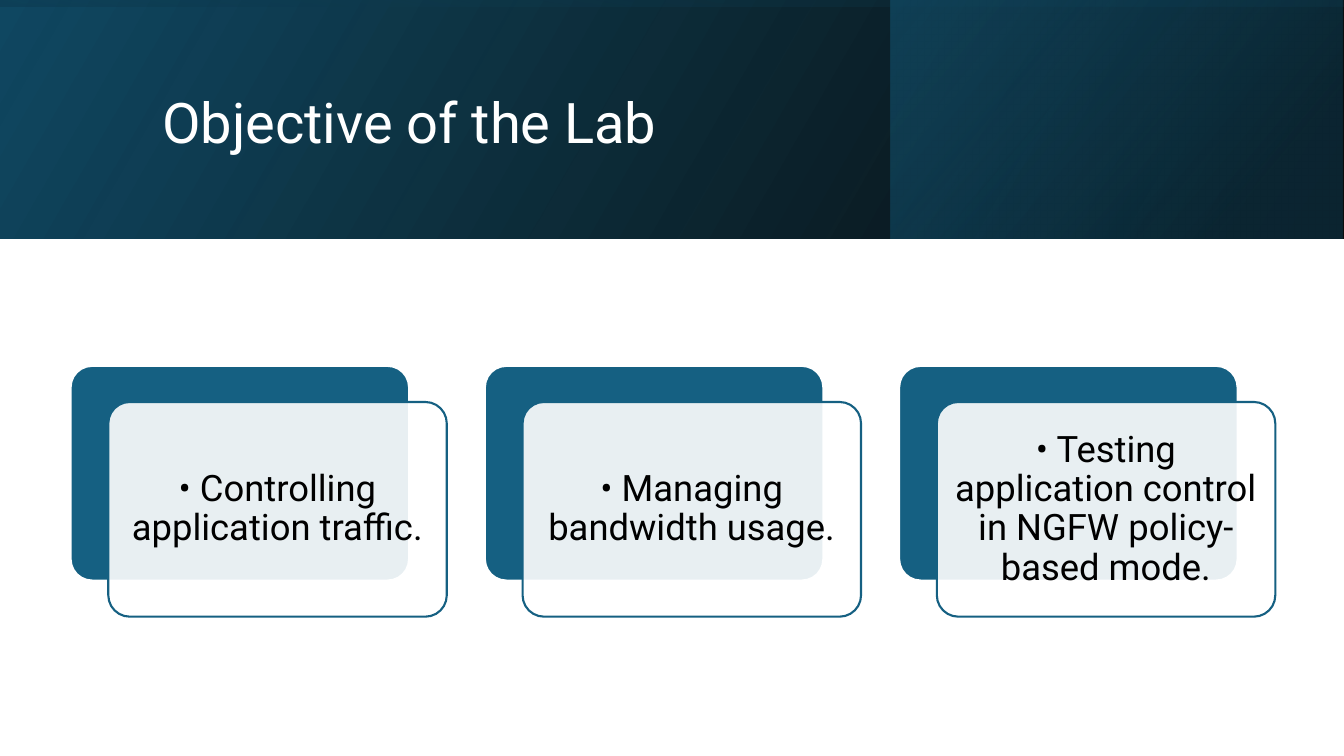
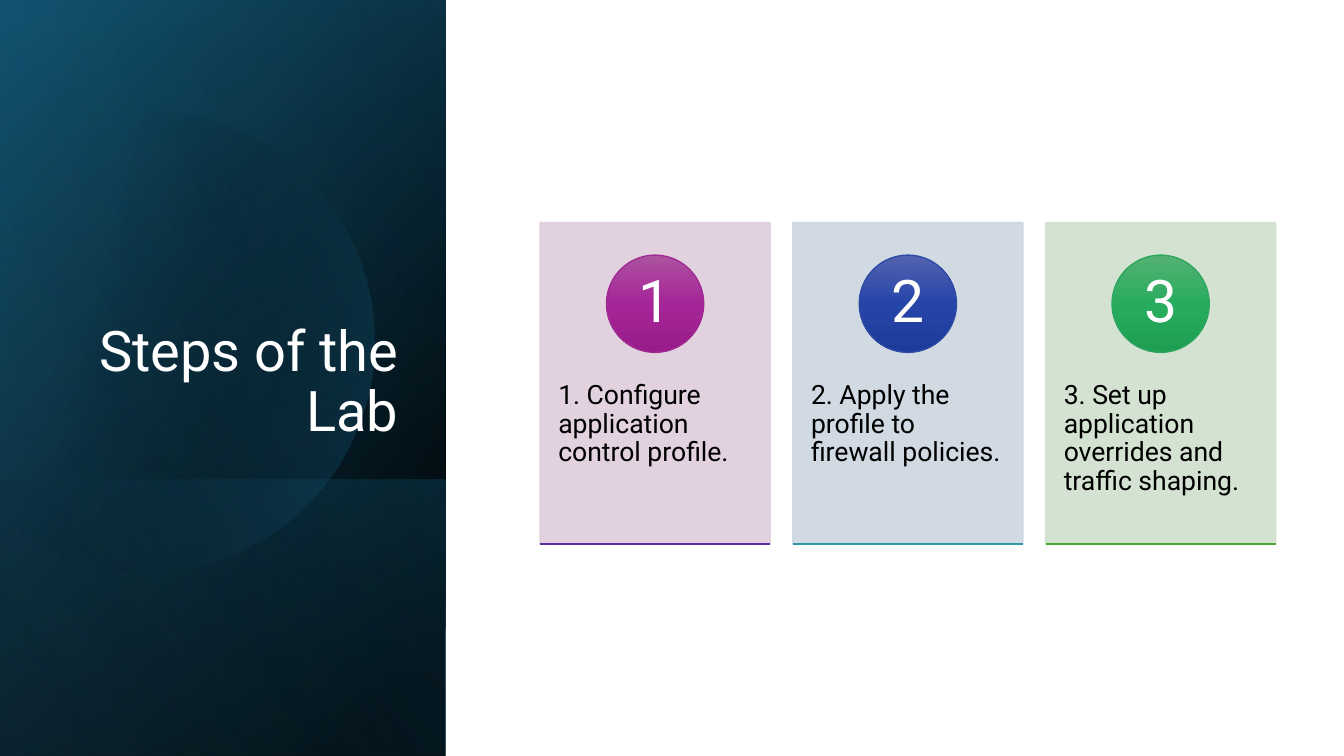
"""Build two lab slides: the objective and the steps."""
from math import acos, cos, sin

from lxml.etree import SubElement
from pptx import Presentation
from pptx.dml.color import RGBColor
from pptx.enum.shapes import MSO_CONNECTOR, MSO_SHAPE
from pptx.enum.text import MSO_ANCHOR, PP_ALIGN
from pptx.oxml.ns import qn
from pptx.util import Cm, Pt

WHITE = RGBColor(0xFF, 0xFF, 0xFF)
BLACK = RGBColor(0x00, 0x00, 0x00)
BLUE = RGBColor(0x15, 0x60, 0x82)
DEEP_BLUE = RGBColor(0x10, 0x48, 0x62)
NAVY = RGBColor(0x0B, 0x30, 0x41)
SKY = RGBColor(0x46, 0xB1, 0xE1)

PINK_TINT = RGBColor(0xDF, 0xCD, 0xDC)
MAGENTA_LIGHT = RGBColor(0xAC, 0x53, 0xA0)
MAGENTA = RGBColor(0xA6, 0x25, 0x98)
MAGENTA_DARK = RGBColor(0x99, 0x1C, 0x8B)
MAGENTA_EDGE = RGBColor(0xA0, 0x2B, 0x93)
PURPLE = RGBColor(0x5F, 0x2C, 0xA1)

BLUE_TINT = RGBColor(0xCD, 0xD6, 0xE0)
ROYAL_LIGHT = RGBColor(0x53, 0x63, 0xAF)
ROYAL = RGBColor(0x26, 0x45, 0xA9)
ROYAL_DARK = RGBColor(0x1D, 0x3B, 0x9B)
ROYAL_EDGE = RGBColor(0x2C, 0x49, 0xA3)
TEAL = RGBColor(0x2D, 0x9A, 0xA4)

GREEN_TINT = RGBColor(0xD0, 0xE1, 0xCD)
EMERALD_LIGHT = RGBColor(0x54, 0xB1, 0x73)
EMERALD = RGBColor(0x27, 0xAC, 0x5E)
EMERALD_DARK = RGBColor(0x1E, 0x9E, 0x52)
EMERALD_EDGE = RGBColor(0x2D, 0xA6, 0x5F)
GREEN = RGBColor(0x4E, 0xA7, 0x2E)

FONT = "Roboto"
WIDTH, HEIGHT = 33.87, 19.05
HEADER_HEIGHT = 6.02
SIDE_WIDTH = 11.23

OBJECTIVES = [
    "• Controlling application traffic.",
    "• Managing bandwidth usage.",
    "• Testing application control in NGFW policy-based mode.",
]
STEPS = [
    ("1. Configure application control profile.", PINK_TINT,
     (MAGENTA_LIGHT, MAGENTA, MAGENTA_DARK), MAGENTA_EDGE, PURPLE),
    ("2. Apply the profile to firewall policies.", BLUE_TINT,
     (ROYAL_LIGHT, ROYAL, ROYAL_DARK), ROYAL_EDGE, TEAL),
    ("3. Set up application overrides and traffic shaping.", GREEN_TINT,
     (EMERALD_LIGHT, EMERALD, EMERALD_DARK), EMERALD_EDGE, GREEN),
]


def write(box, text, size, color=BLACK, align=PP_ALIGN.LEFT,
          anchor=MSO_ANCHOR.MIDDLE, insets=(0.25, 0.13, 0.25, 0.13)):
    frame = box.text_frame
    frame.word_wrap = True
    frame.vertical_anchor = anchor
    frame.margin_left, frame.margin_top, frame.margin_right, frame.margin_bottom = map(Cm, insets)
    para = frame.paragraphs[0]
    para.alignment = align
    para.line_spacing = 0.9
    span = para.add_run()
    span.text = text
    span.font.name = FONT
    span.font.size = Pt(size)
    span.font.color.rgb = color


def set_alpha(color_element, percent):
    SubElement(color_element, qn("a:alpha")).set("val", str(percent * 1000))


def paint_solid(shape, color, opacity=100):
    shape.fill.solid()
    shape.fill.fore_color.rgb = color
    if opacity < 100:
        set_alpha(shape._element.spPr.find(qn("a:solidFill"))[0], opacity)


def paint_gradient(shape, stops, angle):
    shape.fill.gradient()
    shape.fill.gradient_angle = 360 - angle
    stop_list = shape._element.spPr.find(qn("a:gradFill")).find(qn("a:gsLst"))
    for old_stop in list(stop_list):
        stop_list.remove(old_stop)
    for position, color, opacity in stops:
        stop = SubElement(stop_list, qn("a:gs"))
        stop.set("pos", str(position * 1000))
        color_element = SubElement(stop, qn("a:srgbClr"))
        color_element.set("val", str(color))
        set_alpha(color_element, opacity)


def outline(shape, color=None, width=1):
    shape.shadow.inherit = False
    if color is None:
        shape.line.fill.background()
    else:
        shape.line.color.rgb = color
        shape.line.width = Pt(width)


class SlideBuilder:
    def __init__(self):
        self.deck = Presentation()
        self.deck.slide_width, self.deck.slide_height = Cm(WIDTH), Cm(HEIGHT)
        self.page = None

    def start_page(self):
        self.page = self.deck.slides.add_slide(self.deck.slide_layouts[6])

    def shape(self, kind, left, top, width, height):
        return self.page.shapes.add_shape(kind, Cm(left), Cm(top), Cm(width), Cm(height))

    def band(self, left, top, width, height, stops, angle, turn=0):
        if turn:
            left, top = left + (width - height) / 2, top + (height - width) / 2
            width, height = height, width
        band = self.shape(MSO_SHAPE.RECTANGLE, left, top, width, height)
        band.rotation = turn
        band._element.spPr.find(qn("a:xfrm")).set("flipH", "1")
        paint_gradient(band, stops, angle)
        outline(band)

    def cut_disc(self, center_x, center_y, radius, stops, angle):
        limit = acos(-center_x / radius)
        turns = [limit * (step / 40 - 1) for step in range(81)]
        points = [(Cm(center_x + radius * cos(turn)), Cm(center_y + radius * sin(turn)))
                  for turn in turns]
        builder = self.page.shapes.build_freeform(*points[0])
        builder.add_line_segments(points[1:], close=True)
        disc = builder.convert_to_shape()
        paint_gradient(disc, stops, angle)
        outline(disc)

    def title(self, text, left, top, width, height, **style):
        box = self.page.shapes.add_textbox(Cm(left), Cm(top), Cm(width), Cm(height))
        write(box, text, 40, color=WHITE, **style)

    def rounded_card(self, left, top, fill, edge, opacity=100):
        card = self.shape(MSO_SHAPE.ROUNDED_RECTANGLE, left, top, 8.53, 5.41)
        card.adjustments[0] = 0.1
        paint_solid(card, fill, opacity)
        outline(card, edge, 1.5)
        return card

    def objective(self, text, left, top):
        self.rounded_card(left, top, BLUE, WHITE)
        front = self.rounded_card(left + 0.95, top + 0.91, WHITE, BLUE, opacity=90)
        write(front, text, 26, align=PP_ALIGN.CENTER, insets=(0.28,) * 4)

    def step(self, number, text, left, top, tint, shades, edge, rule_color):
        width, height, diameter = 5.8, 8.1, 2.45
        card = self.shape(MSO_SHAPE.RECTANGLE, left, top, width, height)
        paint_solid(card, tint, 90)
        outline(card, tint)
        set_alpha(card._element.spPr.find(qn("a:ln")).find(qn("a:solidFill"))[0], 90)
        write(card, text, 19, anchor=MSO_ANCHOR.TOP, insets=(0.46, 4, 0.46, 0.9))

        badge = self.shape(MSO_SHAPE.OVAL, left + (width - diameter) / 2, top + 0.82,
                           diameter, diameter)
        paint_gradient(badge, [(place, shade, 100) for place, shade in zip((0, 50, 100), shades)], 90)
        outline(badge, edge)
        write(badge, str(number), 42, color=WHITE, align=PP_ALIGN.CENTER,
              insets=(0.18, 0.03, 0.18, 0.03))
        self.rule(left, top + height, width, rule_color)

    def rule(self, left, top, width, color):
        rule = self.page.shapes.add_connector(
            MSO_CONNECTOR.STRAIGHT, Cm(left), Cm(top), Cm(left + width), Cm(top))
        rule.line.color.rgb = color
        rule.line.width = Pt(1)
        SubElement(rule._element.spPr, qn("a:effectLst"))


def add_objectives(slides):
    slides.start_page()
    slides.band(0, 0, WIDTH, HEADER_HEIGHT, [(0, BLACK, 96), (100, DEEP_BLUE, 100)], 330)
    slides.band(22.45, 0, 11.38, HEADER_HEIGHT, [(19, NAVY, 68), (100, BLUE, 48)], 320)
    slides.band(0, 0, WIDTH, HEADER_HEIGHT, [(23, DEEP_BLUE, 16), (99, BLACK, 45)], 350, turn=270)
    slides.title("Objective of the Lab", 3.84, 0.97, 27, 4.37)
    for index, text in enumerate(OBJECTIVES):
        slides.objective(text, 1.78 + 10.44 * index, 9.22)


def add_steps(slides):
    slides.start_page()
    side = (0, 0, SIDE_WIDTH, HEIGHT)
    slides.band(*side, [(8, BLACK, 100), (100, DEEP_BLUE, 100)], 50, turn=90)
    slides.band(*side, [(0, BLACK, 0), (99, BLUE, 46)], 30, turn=90)
    slides.band(0, 12.09, SIDE_WIDTH, 6.96, [(2, BLUE, 29), (100, BLACK, 30)], 130, turn=90)
    slides.cut_disc(3.63, 8.6, 5.82, [(29, BLACK, 0), (100, BLUE, 43)], 14)
    slides.band(*side, [(0, BLACK, 0), (99, SKY, 11)], 120, turn=90)
    slides.title("Steps of the Lab", 1.63, 4.67, 8.66, 6.65,
                 align=PP_ALIGN.RIGHT, anchor=MSO_ANCHOR.BOTTOM)
    for index, (text, *colors) in enumerate(STEPS):
        slides.step(index + 1, text, 13.61 + 6.37 * index, 5.61, *colors)


def main():
    slides = SlideBuilder()
    add_objectives(slides)
    add_steps(slides)
    slides.deck.save("out.pptx")


if __name__ == "__main__":
    main()
